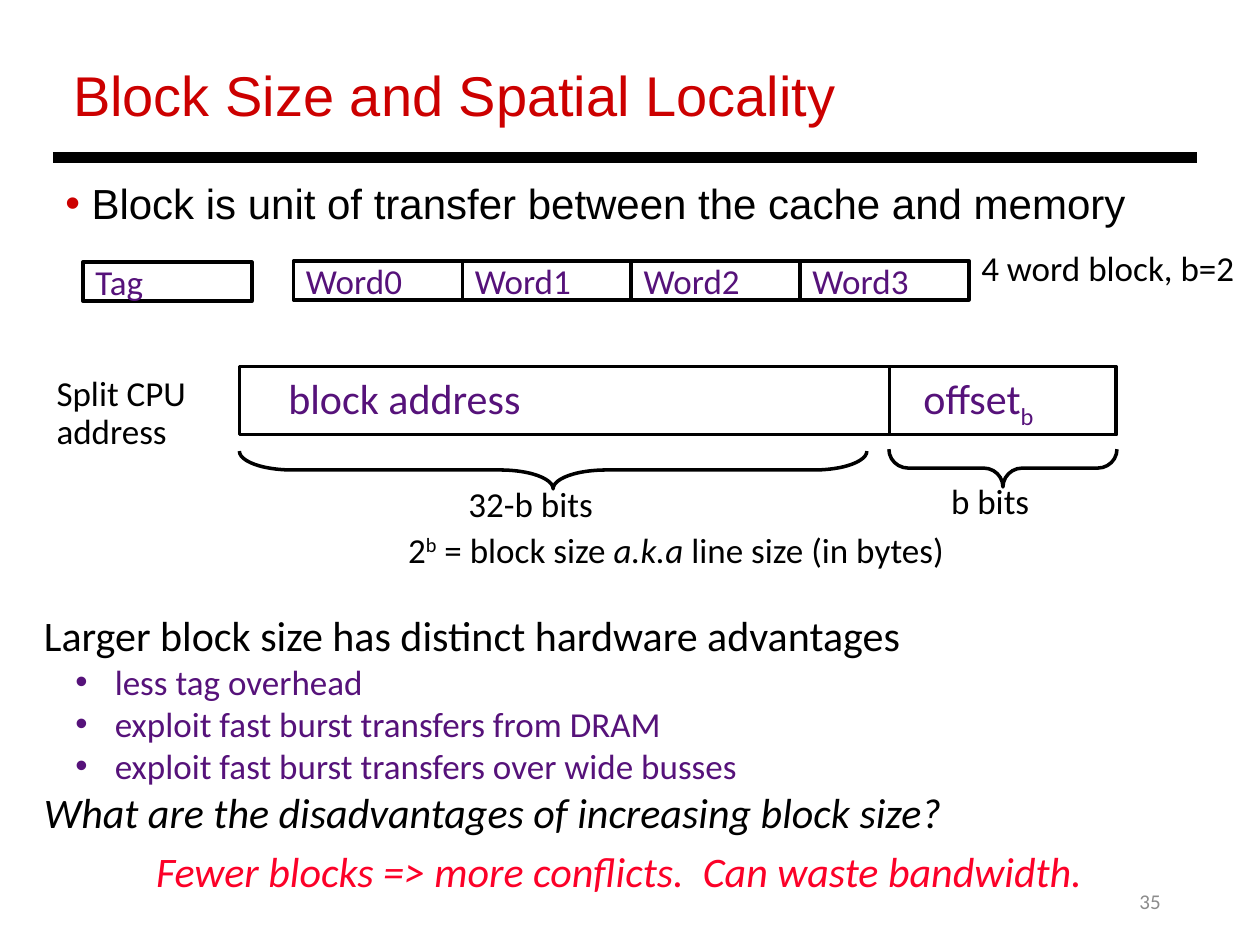
from lxml import etree
from pptx import Presentation
from pptx import util as u
from pptx.dml import color
from pptx.enum import shapes, text
from pptx.oxml import ns

PX = 9144
BLACK, WHITE, RED, PURPLE = "000000", "FFFFFF", "CC0000", "56127A"
SCARLET, GREY = "FC0128", "8C8C8C"


def emu(*lengths):
    return [u.Emu(length * PX) for length in lengths]


def rgb(value):
    return color.RGBColor.from_string(value)


def style(span, size, tint, font="Calibri", italic=False):
    span.font.size = u.Pt(size)
    span.font.name = font
    span.font.color.rgb = rgb(tint)
    span.font.italic = italic


def write(para, spans, size, tint, font="Calibri", italic=False):
    para.alignment = text.PP_ALIGN.LEFT
    for words, options in spans:
        span = para.add_run()
        span.text = words
        style(span, size, tint, font, options.get("italic", italic))
        if "baseline" in options:
            span.font._element.set("baseline", str(options["baseline"]))


def add_label(page, box, spans, size=20, tint=BLACK, wrap=False, **options):
    label = page.shapes.add_textbox(*emu(*box))
    label.text_frame.word_wrap = wrap
    if isinstance(spans, str):
        spans = [(spans, {})]
    write(label.text_frame.paragraphs[0], spans, size, tint, **options)
    return label


def add_bullet(para, tint, margin=0, indent=0):
    properties = para._p.get_or_add_pPr()
    properties.set("marL", str(margin * PX))
    properties.set("indent", str(indent * PX))
    fill = etree.SubElement(properties, ns.qn("a:buClr"))
    etree.SubElement(fill, ns.qn("a:srgbClr"), val=tint)
    etree.SubElement(properties, ns.qn("a:buFont"), typeface="Arial")
    etree.SubElement(properties, ns.qn("a:buChar"), char="•")


def add_line(page, start, end, width):
    line = page.shapes.add_connector(shapes.MSO_CONNECTOR.STRAIGHT, *emu(*start, *end))
    line.line.color.rgb = rgb(BLACK)
    line.line.width = u.Pt(width)
    etree.SubElement(line._element.spPr, ns.qn("a:effectLst"))


def add_cell(page, box, words=""):
    cell = page.shapes.add_shape(shapes.MSO_SHAPE.RECTANGLE, *emu(*box))
    cell.shadow.inherit = False
    cell.fill.solid()
    cell.fill.fore_color.rgb = rgb(WHITE)
    cell.line.color.rgb = rgb(BLACK)
    cell.line.width = u.Pt(2)
    if words:
        cell.text_frame.vertical_anchor = text.MSO_ANCHOR.MIDDLE
        write(cell.text_frame.paragraphs[0], [(words, {})], 20, PURPLE)


def add_brace(page, box, curve):
    left, top, width, height = box
    middle_x, middle_y = left + width // 2, top + height // 2
    brace = page.shapes.add_shape(
        shapes.MSO_SHAPE.LEFT_BRACE,
        *emu(middle_x - height // 2, middle_y - width // 2, height, width))
    brace.rotation = 270
    brace.adjustments[0] = curve
    brace.shadow.inherit = False
    brace.fill.background()
    brace.line.color.rgb = rgb(BLACK)
    brace.line.width = u.Pt(2)


def add_heading(page, box):
    left, top, width, height = box
    title = page.shapes.title
    title.left, title.top, title.width, title.height = emu(left + 6, top, 770, 64)
    frame = title.text_frame
    frame.text = "Block Size and Spatial Locality"
    frame.vertical_anchor = text.MSO_ANCHOR.TOP
    frame.auto_size = text.MSO_AUTO_SIZE.NONE
    frame.paragraphs[0].alignment = text.PP_ALIGN.LEFT
    style(frame.paragraphs[0].runs[0], 32, RED, "Arial")
    add_line(page, (left, top + height), (left + width, top + height), 6)


def add_lead(page, box):
    lead = add_label(page, box, " Block is unit of transfer between the cache and memory",
                     24, wrap=True, font="Arial")
    add_bullet(lead.text_frame.paragraphs[0], RED)


def add_cache_block(page, box):
    left, top, width, height = box
    add_cell(page, (left, top + 1, width, height), "Tag")
    first = left + 167
    for index in range(4):
        add_cell(page, (first + index * width, top, width, height), f"Word{index}")
    add_label(page, (first + 4 * width, top - 16, 221, 44), "4 word block, b=2")


def add_address(page, box):
    left, top, width, height = box
    split = left + 516
    add_cell(page, box)
    add_line(page, (split, top), (split, top + height), 2)
    add_label(page, (left + 29, top, 206, 50), "block address", 24, PURPLE)
    add_label(page, (split + 17, top, 108, 50),
              [("offset", {}), ("b", {"baseline": -25000})], 24, PURPLE)
    caption = add_label(page, (left - 155, top + 3, 148, 71), "Split CPU address", wrap=True)
    add_brace(page, (left, top + 67, 498, 30), 1.4)
    add_brace(page, (split, top + 65, 181, 30), 0.51)
    add_label(page, (left + 172, top + 87, 120, 44), "32-b bits")
    add_label(page, (split + 39, top + 85, 83, 44), "b bits")
    formula = add_label(page, (left + 124, top + 127, 451, 41), [
        ("2", {}), ("b", {"baseline": 30000}), (" = block size ", {}),
        ("a.k.a", {"italic": True}), (" line size (in bytes)", {})])
    for label in (caption, formula):
        label.text_frame.paragraphs[0].line_spacing = 0.9


def add_tradeoffs(page, box):
    left, top, width, height = box
    label = add_label(page, box, "Larger block size has distinct hardware advantages",
                      24, wrap=True)
    frame = label.text_frame
    for words in ("less tag overhead", "exploit fast burst transfers from DRAM",
                  "exploit fast burst transfers over wide busses"):
        para = frame.add_paragraph()
        para.level = 1
        write(para, [(" " + words, {})], 20, PURPLE)
        add_bullet(para, PURPLE, 50, -25)
    write(frame.add_paragraph(),
          [("What are the disadvantages of increasing block size?", {})],
          24, BLACK, italic=True)
    answer = add_label(page, (left + 89, top + height - 5, 773, 50),
                       "Fewer blocks => more conflicts.  Can waste bandwidth.",
                       24, SCARLET, italic=True)
    answer.text_frame.vertical_anchor = text.MSO_ANCHOR.MIDDLE


def add_page_number(page, box):
    number = add_label(page, box, "35", 12, GREY, wrap=True)
    number.text_frame.vertical_anchor = text.MSO_ANCHOR.MIDDLE
    number.text_frame.paragraphs[0].alignment = text.PP_ALIGN.RIGHT


def main():
    deck = Presentation()
    deck.slide_width, deck.slide_height = emu(1000, 750)
    page = deck.slides.add_slide(deck.slide_layouts[5])
    add_heading(page, (42, 43, 908, 82))
    add_lead(page, (42, 136, 904, 131))
    add_cache_block(page, (66, 207, 134, 31))
    add_address(page, (190, 291, 696, 54))
    add_tradeoffs(page, (25, 479, 932, 192))
    add_page_number(page, (706, 695, 225, 40))
    deck.save("out.pptx")


if __name__ == "__main__":
    main()
